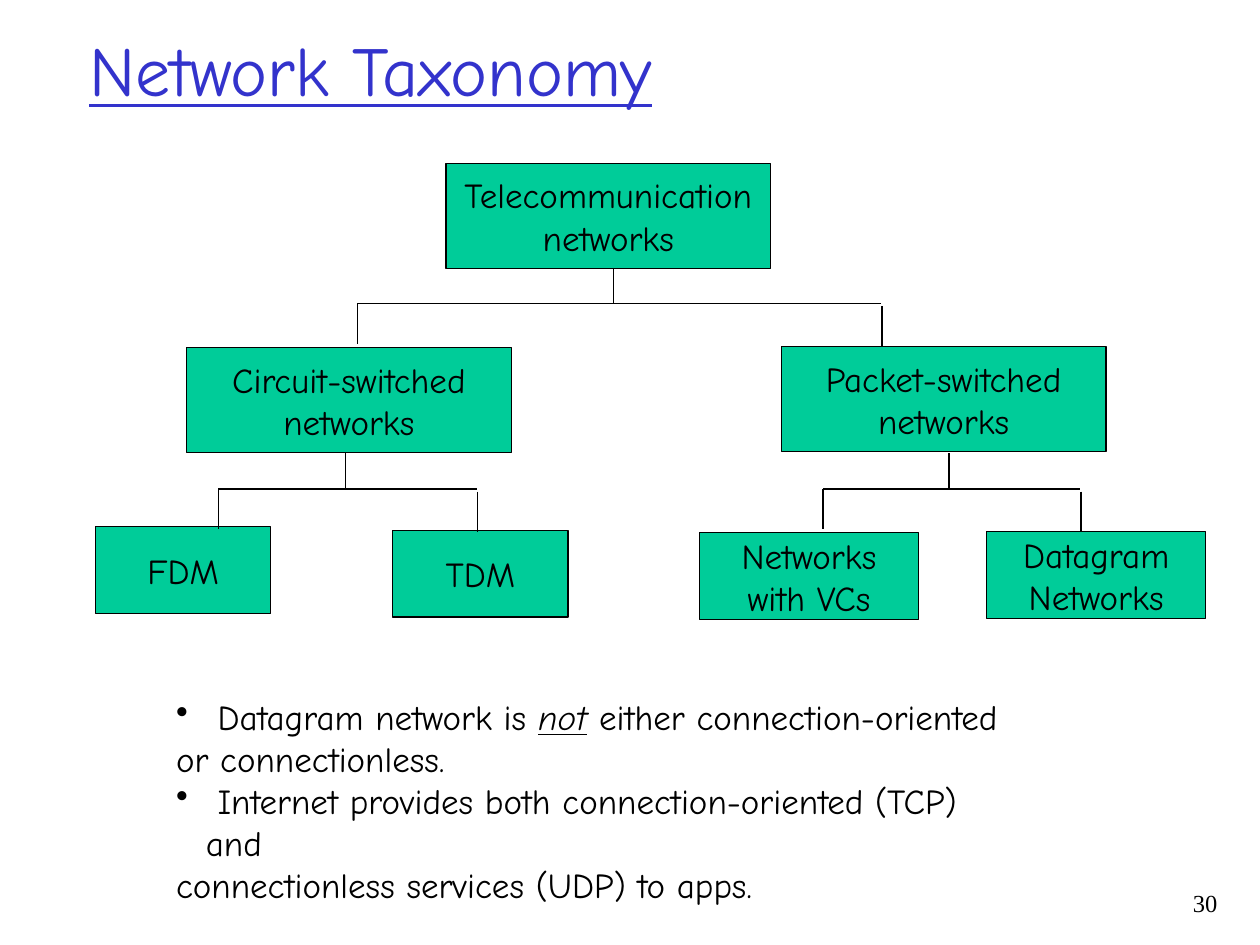
import pptx
import pptx.util
import pptx.dml.color
import pptx.enum.shapes
import pptx.enum.text
import pptx.oxml.ns
import lxml.etree

Cm = pptx.util.Cm
Pt = pptx.util.Pt
RGBColor = pptx.dml.color.RGBColor
ALIGN = pptx.enum.text.PP_ALIGN
ANCHOR = pptx.enum.text.MSO_ANCHOR
qn = pptx.oxml.ns.qn

BLUE = RGBColor(0x33, 0x33, 0xCC)
GREEN = RGBColor(0x00, 0xCC, 0x99)
BLACK = RGBColor(0x00, 0x00, 0x00)
COMIC = "Comic Neue"


def format_text(tf, size, font=COMIC, color=BLACK, align=ALIGN.LEFT):
    for p in tf.paragraphs:
        p.alignment = align
        for r in p.runs:
            r.font.size = Pt(size)
            r.font.name = font
            r.font.color.rgb = color


def add_line(x1, y1, x2, y2):
    line = s.shapes.add_connector(
        pptx.enum.shapes.MSO_CONNECTOR.STRAIGHT, Cm(x1), Cm(y1), Cm(x2), Cm(y2))
    line.line.color.rgb = BLACK
    line.line.width = Pt(0.75)
    lxml.etree.SubElement(line._element.spPr, qn("a:effectLst"))


prs = pptx.Presentation()
prs.slide_width = Cm(25.4)
prs.slide_height = Cm(19.05)
s = prs.slides.add_slide(prs.slide_layouts[6])

sp = s.shapes.add_textbox(Cm(1.55), Cm(0), Cm(21.59), Cm(2.77))
tf = sp.text_frame
tf.word_wrap = True
tf.vertical_anchor = ANCHOR.MIDDLE
tf.text = "Network Taxonomy"
format_text(tf, 40, color=BLUE)
tf.paragraphs[0].runs[0].font.underline = True

boxes = [
    ("Telecommunication\nnetworks", 8.99, 3.3, 6.55, 2.11),
    ("Circuit-switched\nnetworks", 3.76, 7.01, 6.55, 2.11),
    ("Packet-switched\nnetworks", 15.75, 6.99, 6.55, 2.11),
    ("FDM", 1.93, 10.62, 3.53, 1.75),
    ("TDM", 7.92, 10.69, 3.53, 1.75),
    ("Networks\nwith VCs", 14.1, 10.74, 4.42, 1.75),
    ("Datagram\nNetworks", 19.89, 10.72, 4.42, 1.75),
]
for text, left, top, width, height in boxes:
    sp = s.shapes.add_shape(pptx.enum.shapes.MSO_SHAPE.RECTANGLE,
                            Cm(left), Cm(top), Cm(width), Cm(height))
    sp.shadow.inherit = False
    sp.fill.solid()
    sp.fill.fore_color.rgb = GREEN
    sp.line.color.rgb = BLACK
    sp.line.width = Pt(0.75)
    tf = sp.text_frame
    tf.word_wrap = False
    tf.vertical_anchor = ANCHOR.MIDDLE
    tf.text = text
    format_text(tf, 20, align=ALIGN.CENTER)

branches = [(7.2, 17.76, 12.37, 6.12), (4.4, 9.61, 6.96, 9.86), (16.59, 21.77, 19.13, 9.86)]
for left, right, stem, bar in branches:
    add_line(left, bar, right, bar)
    add_line(right + 0.02, bar + 0.05, right + 0.02, bar + 0.86)
    add_line(left, bar, left, bar + 0.81)
    add_line(stem, bar - 0.72, stem, bar)

notes = [
    (True, [" Datagram network is ", "not", " either connection-oriented"]),
    (False, ["or connectionless."]),
    (True, [" Internet provides both connection-oriented (TCP) and"]),
    (False, ["connectionless services (UDP) to apps."]),
]
sp = s.shapes.add_textbox(Cm(3.3), Cm(13.89), Cm(17.5), Cm(3.66))
tf = sp.text_frame
tf.word_wrap = True
for i, (bulleted, parts) in enumerate(notes):
    p = tf.paragraphs[0] if i == 0 else tf.add_paragraph()
    if bulleted:
        pPr = p._p.get_or_add_pPr()
        pPr.set("marL", str(Cm(0.6)))
        pPr.set("indent", str(-Cm(0.6)))
        lxml.etree.SubElement(pPr, qn("a:buChar")).set("char", "•")
    for part in parts:
        r = p.add_run()
        r.text = part
        if part == "not":
            r.font.italic = True
            r.font.underline = True
format_text(tf, 20)

sp = s.shapes.add_textbox(Cm(23.06), Cm(17.78), Cm(1.73), Cm(1.27))
tf = sp.text_frame
tf.word_wrap = True
tf.text = "30"
format_text(tf, 14, font="Times New Roman", align=ALIGN.RIGHT)

prs.save("out.pptx")
